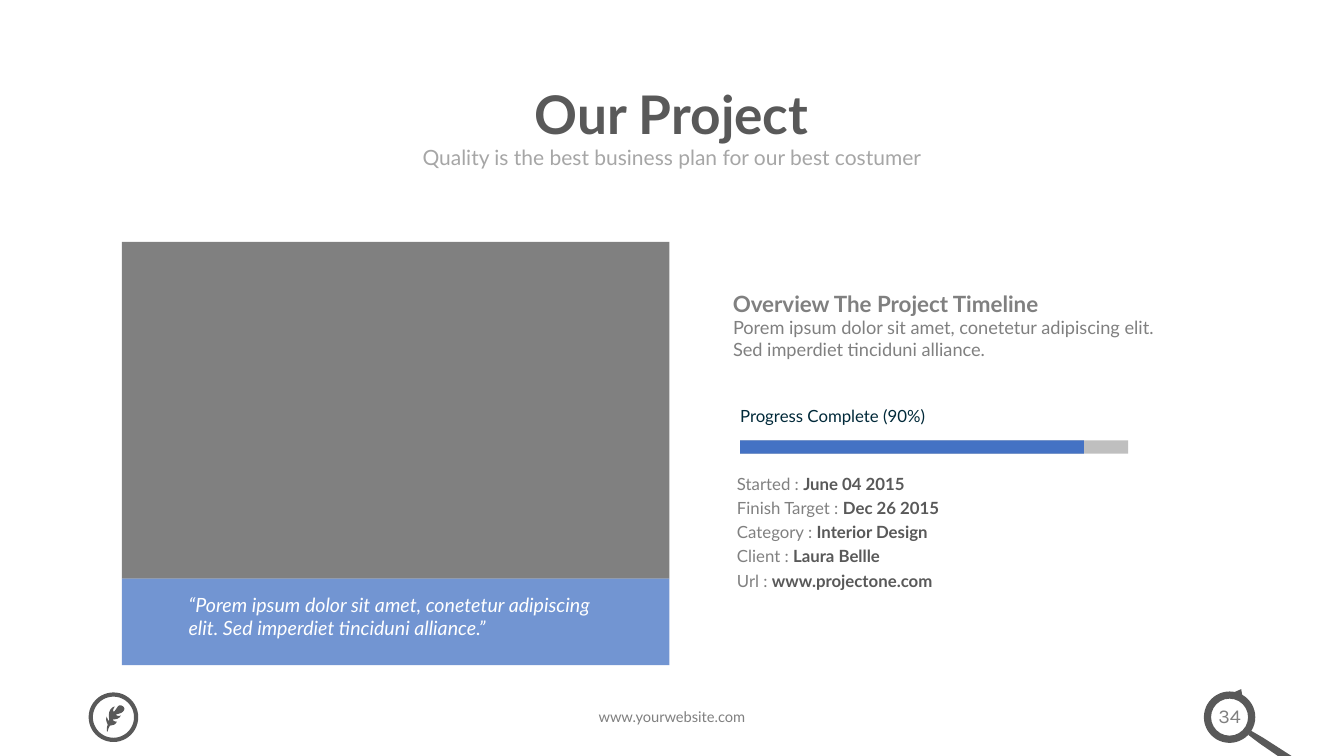
from lxml import etree
from pptx import Presentation
from pptx import util as u
from pptx.dml.color import RGBColor
from pptx.enum import shapes, text
from pptx.oxml.ns import qn

COLORS = {"dark": "595959", "grey": "808080", "pale": "A6A6A6", "track": "BFBFBF",
          "blue": "4472C4", "navy": "002939", "white": "FFFFFF"}

FACTS = [("Started", "June 04 2015"), ("Finish Target", "Dec 26 2015"),
         ("Category", "Interior Design"), ("Client", "Laura Bellle"),
         ("Url", "www.projectone.com")]

LOREM = "Porem ipsum dolor sit amet, conetetur adipiscing elit. Sed imperdiet tinciduni alliance."

PADDED = (0.1, 0.05)
FLUSH = (0, 0)

TEXTS = [
    dict(at=(1.66, 0.75, 10, 0.82), words="Our Project", size=38, color="dark",
         bold=True, center=True, middle=True, spacing=0.9),
    dict(at=(2.67, 1.36, 7.99, 0.39), size=15, color="pale", center=True, grow=True,
         inset=(0.13, 0.07), words="Quality is the best business plan for our best costumer"),
    dict(at=(7.17, 2.69, 3.7, 0.5), words="Overview The Project Timeline", size=16,
         color="grey", bold=True, middle=True, grow=True, spacing=1.5),
    dict(at=(7.27, 3.14, 4.25, 0.44), words=LOREM, size=13, color="grey",
         inset=FLUSH, grow=True),
    dict(at=(7.34, 4.03, 4.22, 0.34), words="Progress Complete (90%)", size=12,
         color="navy", inset=FLUSH),
    dict(at=(1.87, 5.88, 4.25, 0.47), words=f"“{LOREM}”", size=14, color="white",
         italic=True, inset=FLUSH, grow=True),
    dict(at=(4.25, 6.97, 4.83, 0.29), words="www.yourwebsite.com", size=10.5,
         color="grey", center=True, grow=True),
    dict(at=(11.89, 6.93, 0.61, 0.34), words="34", size=14, color="grey",
         font="Karla", center=True, grow=True),
]

HANDLE = [(12.38, 7.29), (12.41, 7.25), (12.53, 7.32), (12.92, 7.57), (12.94, 7.59),
          (12.92, 7.62), (12.9, 7.64), (12.88, 7.64), (12.5, 7.38)]

FEATHER_START = (1.07, 7.25)
FEATHER_CURVES = [
    ((1.07, 7.24), (1.08, 7.22), (1.09, 7.2)),
    ((1.12, 7.19), (1.14, 7.2), (1.16, 7.16)),
    ((1.14, 7.16), (1.12, 7.15), (1.12, 7.14)),
    ((1.12, 7.13), (1.17, 7.15), (1.2, 7.1)),
    ((1.16, 7.11), (1.15, 7.09), (1.15, 7.09)),
    ((1.17, 7.08), (1.2, 7.08), (1.22, 7.06)),
    ((1.23, 7.05), (1.24, 7.03), (1.23, 7.02)),
    ((1.23, 7.01), (1.2, 6.99), (1.18, 7)),
    ((1.17, 7), (1.14, 7.06), (1.13, 7.06)),
    ((1.12, 7.06), (1.12, 7.03), (1.14, 7.01)),
    ((1.12, 7.01), (1.1, 7.03), (1.09, 7.05)),
    ((1.07, 7.08), (1.09, 7.15), (1.08, 7.15)),
    ((1.08, 7.16), (1.06, 7.12), (1.06, 7.11)),
    ((1.05, 7.13), (1.05, 7.15), (1.07, 7.19)),
    ((1.06, 7.21), (1.06, 7.23), (1.06, 7.25)),
    ((1.06, 7.26), (1.07, 7.26), (1.07, 7.25)),
]


def rgb(name):
    return RGBColor.from_string(COLORS[name])


def paint(shape, color):
    shape.shadow.inherit = False
    shape.fill.solid()
    shape.fill.fore_color.rgb = rgb(color)
    shape.line.fill.background()


def add_preset(page, kind, at, color):
    shape = page.shapes.add_shape(kind, *map(u.Inches, at))
    paint(shape, color)
    return shape


def add_outline(page, points, color):
    corners = [(u.Inches(x), u.Inches(y)) for x, y in points]
    builder = page.shapes.build_freeform(*corners[0])
    builder.add_line_segments(corners[1:], close=True)
    paint(builder.convert_to_shape(), color)


def trace_curves(start, curves, steps=6):
    points = [start]
    for first, second, end in curves:
        origin = points[-1]
        for step in range(1, steps + 1):
            t = step / steps
            points.append(tuple(
                (1 - t) ** 3 * a + 3 * t * (1 - t) ** 2 * b + 3 * t * t * (1 - t) * c + t ** 3 * d
                for a, b, c, d in zip(origin, first, second, end)))
    return points


def style_span(span, size, color, bold=False, italic=False, font="Lato"):
    span.font.name = font
    span.font.size = u.Pt(size)
    span.font.bold = bold
    span.font.italic = italic
    span.font.color.rgb = rgb(color)


def add_box(page, at, inset=PADDED, middle=False, grow=False):
    box = page.shapes.add_textbox(*map(u.Inches, at))
    frame = box.text_frame
    frame.word_wrap = True
    frame.margin_left = frame.margin_right = u.Inches(inset[0])
    frame.margin_top = frame.margin_bottom = u.Inches(inset[1])
    frame.vertical_anchor = text.MSO_ANCHOR.MIDDLE if middle else text.MSO_ANCHOR.TOP
    frame.auto_size = text.MSO_AUTO_SIZE.SHAPE_TO_FIT_TEXT if grow else text.MSO_AUTO_SIZE.NONE
    return frame


def add_text(page, at, words, size, color, inset=PADDED, middle=False, grow=False,
             center=False, spacing=1.0, **style):
    frame = add_box(page, at, inset, middle, grow)
    frame.text = words
    para = frame.paragraphs[0]
    para.alignment = text.PP_ALIGN.CENTER if center else text.PP_ALIGN.LEFT
    para.line_spacing = spacing
    style_span(para.runs[0], size, color, **style)


def add_facts(page, at):
    frame = add_box(page, at, FLUSH)
    for index, (label, value) in enumerate(FACTS):
        para = frame.add_paragraph() if index else frame.paragraphs[0]
        para.line_spacing = 1.2
        for words, color, bold in ((f"{label} : ", "grey", False), (value, "dark", True)):
            span = para.add_run()
            span.text = words
            style_span(span, 12, color, bold)


def main():
    deck = Presentation()
    deck.slide_width, deck.slide_height = u.Inches(13.33), u.Inches(7.5)
    page = deck.slides.add_slide(deck.slide_layouts[6])
    kinds = shapes.MSO_SHAPE

    add_preset(page, kinds.RECTANGLE, (1.21, 2.4, 5.43, 3.34), "grey")
    quote_band = add_preset(page, kinds.RECTANGLE, (1.21, 5.74, 5.43, 0.86), "blue")
    band_color = quote_band.element.spPr.find(qn("a:solidFill"))[0]
    etree.SubElement(band_color, qn("a:alpha"), val="75000")

    for width, color in ((3.85, "track"), (3.41, "blue")):
        add_preset(page, kinds.RECTANGLE, (7.34, 4.37, width, 0.13), color)

    add_outline(page, HANDLE, "dark")
    lens = add_preset(page, kinds.DONUT, (11.94, 6.86, 0.51, 0.51), "dark")
    lens.adjustments[0] = 0.14
    pointer = add_preset(page, kinds.RIGHT_ARROW, (12.23, 6.83, 0.11, 0.11), "dark")
    pointer.adjustments[0], pointer.adjustments[1] = 0.32, 0.64
    pointer.rotation = 298.7

    badge = add_preset(page, kinds.OVAL, (0.9, 6.89, 0.45, 0.45), "white")
    badge.fill.background()
    badge.line.color.rgb = rgb("dark")
    badge.line.width = u.Pt(3)
    add_outline(page, trace_curves(FEATHER_START, FEATHER_CURVES), "dark")

    for entry in TEXTS:
        add_text(page, **entry)
    add_facts(page, (7.31, 4.66, 2.36, 1.5))

    deck.save("out.pptx")


if __name__ == "__main__":
    main()
